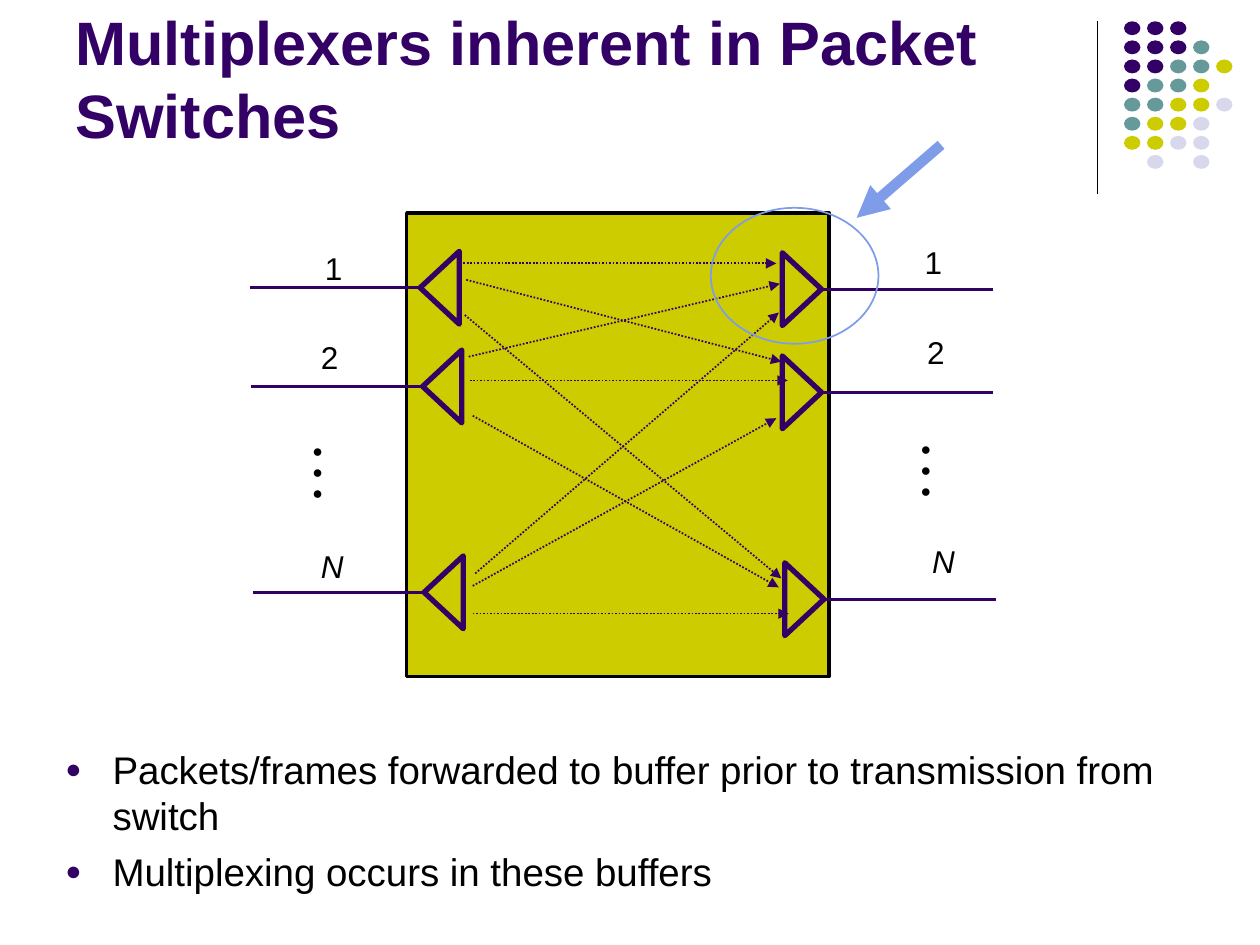
from lxml.etree import SubElement
from pptx import Presentation
from pptx.dml.color import RGBColor
from pptx.enum.dml import MSO_LINE
from pptx.enum.shapes import MSO_CONNECTOR, MSO_SHAPE
from pptx.enum.text import MSO_ANCHOR
from pptx.oxml.ns import qn
from pptx.util import Cm, Pt

PURPLE, OLIVE, TEAL, LILAC = "330066", "CCCC00", "669999", "D8D8EC"
BLACK, BLUE = "000000", "7E9CE8"

TITLE = "Multiplexers inherent in Packet Switches"
BULLETS = [
    "Packets/frames forwarded to buffer prior to transmission from switch",
    "Multiplexing occurs in these buffers",
]

# One letter per dot, a space where the grid is empty
DOT_ROWS = ["PPP", "PPPT", "PPTTO", "PTTO", "TTOOL", "TOOL", "OOLL", " L L"]
DOT_COLORS = {"P": PURPLE, "T": TEAL, "O": OLIVE, "L": LILAC}

# Lengths in cm. Ports: outer end of the line, triangle tip, height
INPUT_PORTS = [(5.03, 8.47, 5.8), (5.05, 8.52, 7.79), (5.11, 8.55, 11.94)]
OUTPUT_PORTS = [(20.02, 16.56, 5.83), (20.02, 16.56, 7.91), (20.07, 16.61, 12.08)]
TRIANGLE_DEPTH, TRIANGLE_SIDE = 0.79, 1.47

PATHS = [
    (9.27, 5.31, 15.65, 5.31),
    (9.4, 5.64, 15.75, 7.29),
    (9.37, 6.35, 15.75, 11.66),
    (9.45, 7.19, 15.72, 5.72),
    (9.47, 7.67, 15.88, 7.67),
    (9.53, 8.38, 15.7, 11.84),
    (9.58, 11.56, 15.7, 6.3),
    (9.53, 11.81, 15.65, 8.43),
    (9.53, 12.37, 15.9, 12.37),
]

LABELS = [
    ("1", 6.3, 4.9), ("2", 6.22, 6.68), ("N", 6.22, 10.9),
    ("1", 18.39, 4.78), ("2", 18.44, 6.58), ("N", 18.54, 10.8),
]
ELLIPSES = [(6.05, 8.74), (18.31, 8.71)]

presentation = Presentation()
presentation.slide_width, presentation.slide_height = Cm(25.4), Cm(19.05)
slide = presentation.slides.add_slide(presentation.slide_layouts[6])


def color(value):
    return RGBColor.from_string(value)


def add_shape(kind, left, top, width, height, fill=None, line=None, weight=1):
    shape = slide.shapes.add_shape(kind, Cm(left), Cm(top), Cm(width), Cm(height))
    shape.shadow.inherit = False
    if fill:
        shape.fill.solid()
        shape.fill.fore_color.rgb = color(fill)
    else:
        shape.fill.background()
    if line:
        shape.line.color.rgb = color(line)
        shape.line.width = Pt(weight)
    else:
        shape.line.fill.background()
    return shape


def add_line(x1, y1, x2, y2, line, weight, arrow=False, dash=None):
    connector = slide.shapes.add_connector(
        MSO_CONNECTOR.STRAIGHT, Cm(x1), Cm(y1), Cm(x2), Cm(y2))
    connector.line.color.rgb = color(line)
    connector.line.width = Pt(weight)
    if dash:
        connector.line.dash_style = dash
    if arrow:
        SubElement(connector.line._get_or_add_ln(), qn("a:tailEnd"), type="triangle")
    SubElement(connector._element.spPr, qn("a:effectLst"))


def add_text(lines, left, top, width, height, size, fill=BLACK, wrap=True):
    frame = slide.shapes.add_textbox(
        Cm(left), Cm(top), Cm(width), Cm(height)).text_frame
    frame.word_wrap = wrap
    frame.text = "\n".join(lines)
    for paragraph in frame.paragraphs:
        paragraph.font.name = "Arial"
        paragraph.font.size = Pt(size)
        paragraph.font.color.rgb = color(fill)
    return frame


def add_bullet(paragraph):
    properties = paragraph._p.get_or_add_pPr()
    properties.set("marL", str(Cm(0.95)))
    properties.set("indent", str(-Cm(0.95)))
    bullet_color = SubElement(properties, qn("a:buClr"))
    SubElement(bullet_color, qn("a:srgbClr"), val=PURPLE)
    SubElement(properties, qn("a:buSzPct"), val="70000")
    SubElement(properties, qn("a:buFont"), typeface="Arial")
    SubElement(properties, qn("a:buChar"), char="●")
    # Character defaults come after the bullet elements
    defaults = properties.find(qn("a:defRPr"))
    if defaults is not None:
        properties.append(defaults)


def add_port(outer, tip, middle):
    """Draw a line and the triangle whose tip it meets, on either side."""
    direction = 1 if outer > tip else -1
    add_line(tip, middle, outer, middle, PURPLE, 1.5)
    center = tip - direction * TRIANGLE_DEPTH / 2
    triangle = add_shape(
        MSO_SHAPE.ISOSCELES_TRIANGLE,
        center - TRIANGLE_SIDE / 2, middle - TRIANGLE_DEPTH / 2,
        TRIANGLE_SIDE, TRIANGLE_DEPTH, OLIVE, PURPLE, 3)
    triangle.rotation = 90 * direction


# Corner decoration
add_line(22.12, 0.43, 22.12, 3.91, BLACK, 0.75)
for row, letters in enumerate(DOT_ROWS):
    for column, letter in enumerate(letters):
        if letter in DOT_COLORS:
            add_shape(MSO_SHAPE.OVAL, 22.66 + 0.464 * column, 0.43 + 0.385 * row,
                      0.33, 0.28, DOT_COLORS[letter])

# Switch
add_shape(MSO_SHAPE.RECTANGLE, 8.2, 4.29, 8.51, 9.35, OLIVE, BLACK, 2)
for port in INPUT_PORTS + OUTPUT_PORTS:
    add_port(*port)
for ends in PATHS:
    add_line(*ends, PURPLE, 1, arrow=True, dash=MSO_LINE.ROUND_DOT)
for label, left, top in LABELS:
    frame = add_text([label], left, top, 0.86, 1.02, 18, wrap=False)
    frame.paragraphs[0].font.italic = label == "N"
for left, top in ELLIPSES:
    add_text(["●"] * 3, left, top, 0.86, 1.52, 10, wrap=False)

# Highlighted multiplexer
add_shape(MSO_SHAPE.OVAL, 14.33, 4.19, 3.38, 2.74, line=BLUE)
add_line(18.97, 2.92, 17.27, 4.39, BLUE, 6, arrow=True)

title = add_text([TITLE], 1.27, 0.33, 20.96, 2.84, 35, PURPLE)
title.vertical_anchor = MSO_ANCHOR.BOTTOM
title.paragraphs[0].font.bold = True
title.paragraphs[0].line_spacing = Pt(42)

body = add_text(BULLETS, 1.07, 14.91, 22.86, 3.38, 22)
for index, paragraph in enumerate(body.paragraphs):
    add_bullet(paragraph)
    paragraph.line_spacing = Pt(26.4)
    if index:
        paragraph.space_before = Pt(5.5)

presentation.save("out.pptx")
